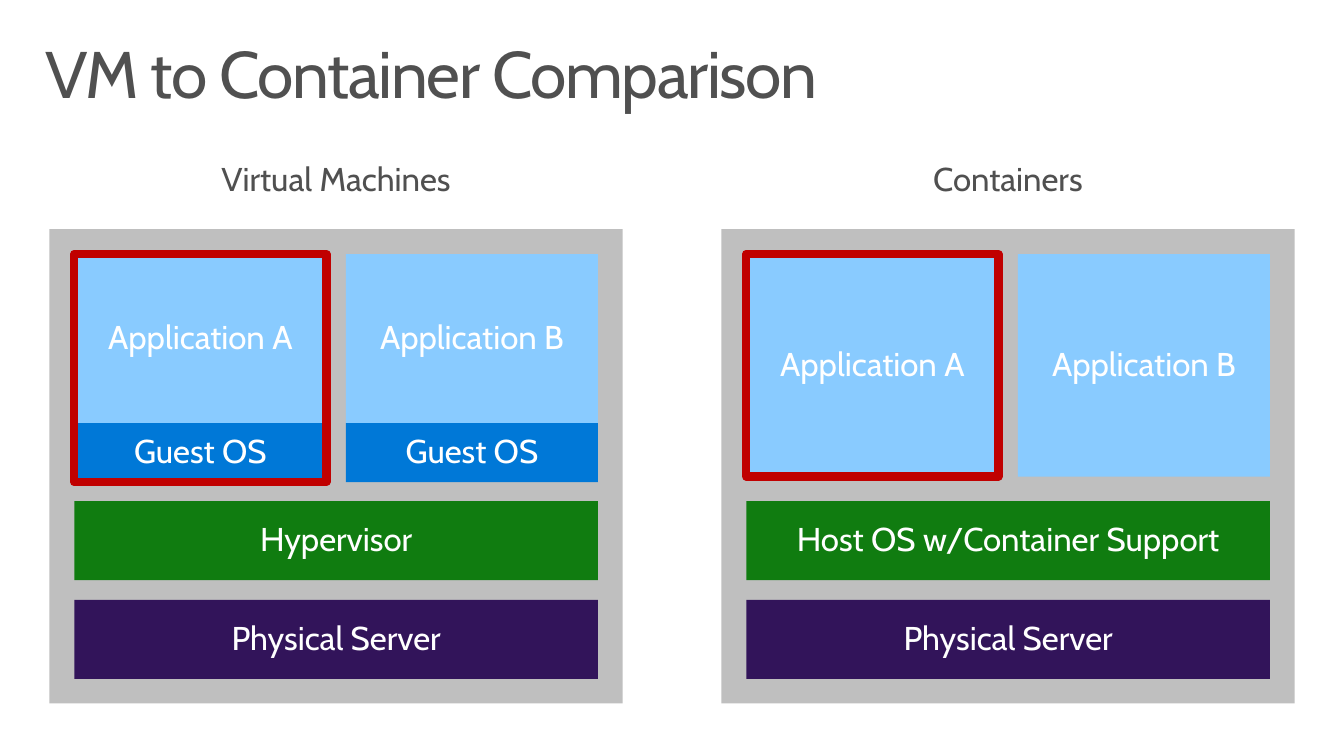
from pptx import Presentation
from pptx.dml.color import RGBColor
from pptx.enum.shapes import MSO_SHAPE
from pptx.enum.text import MSO_ANCHOR, MSO_AUTO_SIZE, PP_ALIGN
from pptx.util import Cm, Pt


def rgb(value):
    return RGBColor.from_string(value)


class ComparisonSlide:
    """Draws titles, headings and blocks on one slide in a shared style."""

    FONT = "Cabin"
    GREY, PANEL, WHITE, RED = "505050", "BFBFBF", "FFFFFF", "C00000"
    SKY, BLUE, GREEN, PURPLE = "89CBFF", "0078D7", "107C10", "32145A"

    def __init__(self, slide):
        self.shapes = slide.shapes

    def add_label(self, frame, text, size, color, align, inset):
        frame.margin_left = frame.margin_right = Cm(inset[0])
        frame.margin_top = frame.margin_bottom = Cm(inset[1])
        paragraph = frame.paragraphs[0]
        paragraph.alignment = align
        paragraph.line_spacing = 0.9
        run = paragraph.add_run()
        run.text = text
        run.font.name = self.FONT
        run.font.size = Pt(size)
        run.font.color.rgb = rgb(color)
        return run

    def title(self, text):
        frame = self.shapes.add_textbox(Cm(0.76), Cm(0.81), Cm(33.02), Cm(2.54)).text_frame
        frame.word_wrap = True
        run = self.add_label(frame, text, 48, self.GREY, PP_ALIGN.LEFT, (0.41, 0.25))
        run.font._element.set("spc", "-100")

    def heading(self, text, center, width):
        frame = self.shapes.add_textbox(
            Cm(center - width / 2), Cm(3.78), Cm(width), Cm(1.75)).text_frame
        frame.word_wrap = False
        frame.auto_size = MSO_AUTO_SIZE.SHAPE_TO_FIT_TEXT
        self.add_label(frame, text, 24, self.GREY, PP_ALIGN.CENTER, (0.51, 0.41))
        frame.paragraphs[0].space_after = Pt(6)

    def rectangle(self, left, top, width, height):
        rectangle = self.shapes.add_shape(
            MSO_SHAPE.RECTANGLE, Cm(left), Cm(top), Cm(width), Cm(height))
        rectangle.shadow.inherit = False
        return rectangle

    def block(self, left, top, width, height, color, text=None):
        block = self.rectangle(left, top, width, height)
        block.fill.solid()
        block.fill.fore_color.rgb = rgb(color)
        block.line.fill.background()
        if text:
            frame = block.text_frame
            frame.word_wrap = True
            frame.vertical_anchor = MSO_ANCHOR.MIDDLE
            self.add_label(frame, text, 24, self.WHITE, PP_ALIGN.CENTER, (0.51, 0.41))

    def outline(self, left, top, width, height):
        outline = self.rectangle(left, top, width, height)
        outline.fill.background()
        outline.line.color.rgb = rgb(self.RED)
        outline.line.width = Pt(6)

    def stack(self, left, heading, heading_width, host, app_height, guest=None):
        panel_width, padding, app_width, app_pitch = 14.73, 0.64, 6.48, 6.98
        guest_height = 1.52 if guest else 0
        app_top = 5.89 + padding
        inner_left = left + padding
        self.heading(heading, left + panel_width / 2, heading_width)
        self.block(left, 5.89, panel_width, 12.19, self.PANEL)
        layers = [("Physical Server", 15.42, self.PURPLE), (host, 12.88, self.GREEN)]
        for layer, top, color in layers:
            self.block(inner_left, top, 13.46, 2.03, color, layer)
        for column, app in enumerate(["Application A", "Application B"]):
            app_left = inner_left + column * app_pitch
            if guest:
                self.block(app_left, app_top + app_height, app_width, guest_height,
                           self.BLUE, guest)
            self.block(app_left, app_top, app_width, app_height, self.SKY, app)
        self.outline(inner_left, app_top, app_width, app_height + guest_height)


def main():
    presentation = Presentation()
    presentation.slide_width = Cm(34.54)
    presentation.slide_height = Cm(19.43)
    comparison = ComparisonSlide(
        presentation.slides.add_slide(presentation.slide_layouts[6]))
    comparison.title("VM to Container Comparison")
    comparison.stack(1.27, "Virtual Machines", 7.34, "Hypervisor", 4.34, "Guest OS")
    comparison.stack(18.54, "Containers", 5.08, "Host OS w/Container Support", 5.72)
    presentation.save("out.pptx")


if __name__ == "__main__":
    main()
